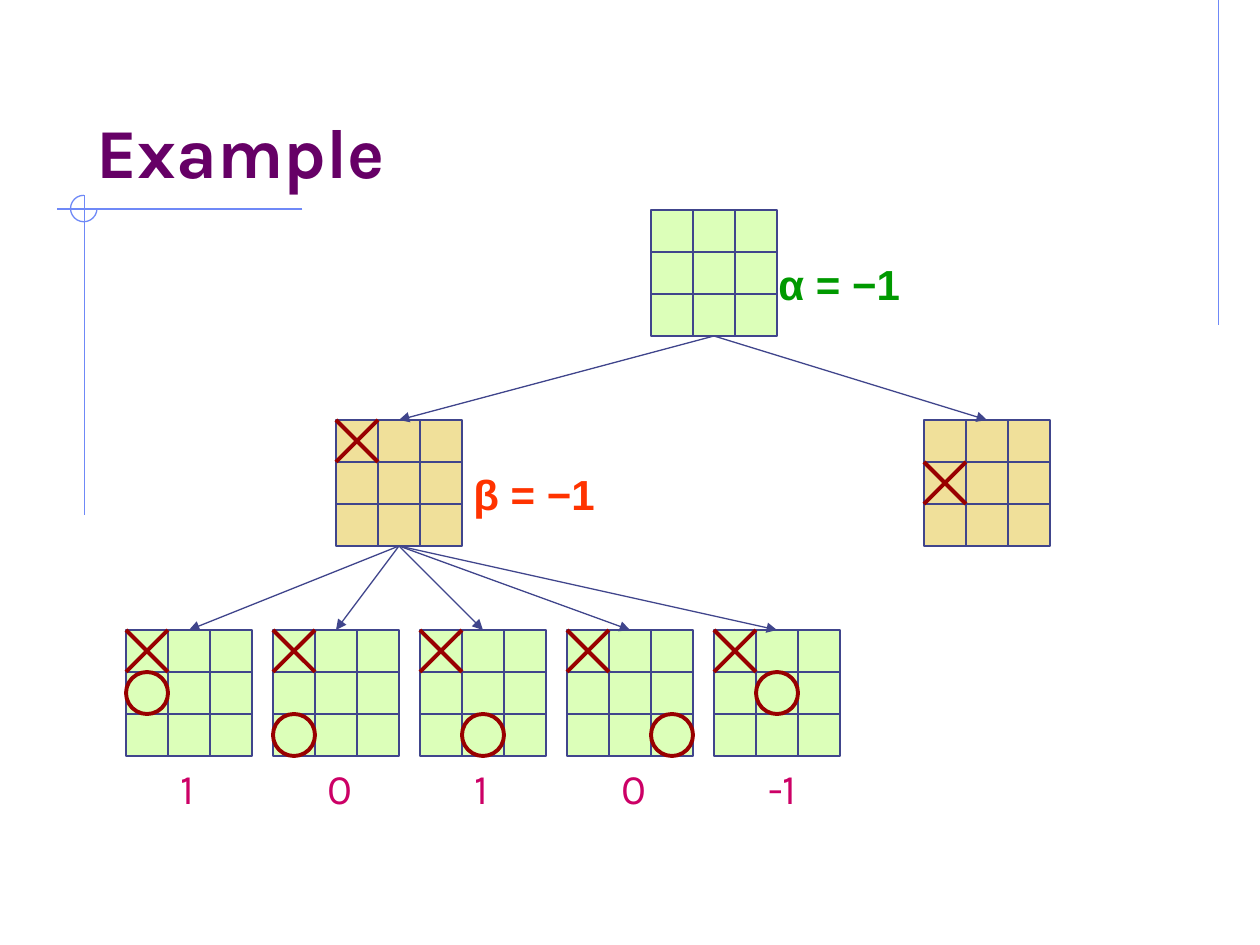
from lxml.etree import SubElement
from pptx import Presentation
from pptx.dml.color import RGBColor
from pptx.enum.shapes import MSO_CONNECTOR, MSO_SHAPE
from pptx.enum.text import MSO_ANCHOR, MSO_AUTO_SIZE
from pptx.oxml.ns import qn
from pptx.util import Inches, Pt

COLORS = {
    "frame": "6F89F7", "title": "660066", "grid": "40458C", "mark": "990000",
    "max": "DCFFB9", "min": "F0E09A", "alpha": "009900", "beta": "FF3300",
    "score": "CC0066",
}
CELL = 1 / 3
BOTTOM, TOP = 2, 0


def color(name):
    return RGBColor.from_string(COLORS[name])


def write(frame, text, size=24, font="Karla", ink="score", bold=False):
    run = frame.paragraphs[0].add_run()
    run.text = text
    run.font.size = Pt(size)
    run.font.name = font
    run.font.bold = bold
    run.font.color.rgb = color(ink)


class GameTree:
    """Draws tic-tac-toe positions, the moves between them and their values."""

    def __init__(self, slide):
        self.shapes = slide.shapes

    def line(self, x1, y1, x2, y2, ink="grid", width=0.75):
        line = self.shapes.add_connector(
            MSO_CONNECTOR.STRAIGHT, Inches(x1), Inches(y1), Inches(x2), Inches(y2))
        line.line.color.rgb = color(ink)
        line.line.width = Pt(width)
        SubElement(line._element.spPr, qn("a:effectLst"))
        return line

    def shape(self, kind, x, y, size, ink="grid", fill=None, width=0.75):
        shape = self.shapes.add_shape(
            kind, Inches(x), Inches(y), Inches(size), Inches(size))
        shape.shadow.inherit = False
        if fill:
            shape.fill.solid()
            shape.fill.fore_color.rgb = color(fill)
        else:
            shape.fill.background()
        shape.line.color.rgb = color(ink)
        shape.line.width = Pt(width)
        return shape

    def title(self, text):
        box = self.shapes.add_textbox(Inches(0.67), Inches(0.33), Inches(8.5), Inches(1.25))
        box.text_frame.word_wrap = True
        box.text_frame.vertical_anchor = MSO_ANCHOR.BOTTOM
        write(box.text_frame, text, size=40, ink="title", bold=True)

    def label(self, text, x, y, width, **style):
        box = self.shapes.add_textbox(Inches(x), Inches(y), Inches(width), Inches(0.5))
        box.text_frame.word_wrap = False
        box.text_frame.auto_size = MSO_AUTO_SIZE.SHAPE_TO_FIT_TEXT
        write(box.text_frame, text, **style)

    def board(self, x, y, fill, cross=None, nought=None):
        """Draw a 3 by 3 board; marks are given as (column, row)."""
        board = self.shape(MSO_SHAPE.RECTANGLE, x, y, 3 * CELL, fill=fill)
        for step in (CELL, 2 * CELL):
            self.line(x + step, y, x + step, y + 1)
            self.line(x, y + step, x + 1, y + step)
        if cross:
            left, top = x + cross[0] * CELL, y + cross[1] * CELL
            right, bottom = left + CELL, top + CELL
            self.line(left, top, right, bottom, ink="mark", width=2.25)
            self.line(left, bottom, right, top, ink="mark", width=2.25)
        if nought:
            self.shape(MSO_SHAPE.OVAL, x + nought[0] * CELL, y + nought[1] * CELL,
                       CELL, ink="mark", width=2.25)
        return board

    def move(self, parent, child):
        arrow = self.line(0, 0, 1, 1)
        arrow.begin_connect(parent, BOTTOM)
        arrow.end_connect(child, TOP)
        SubElement(arrow.line._get_or_add_ln(), qn("a:tailEnd"), type="triangle")

    def frame(self):
        self.line(9.67, 0, 9.67, 2.58, ink="frame")
        self.line(2.4, 1.66, 0.45, 1.66, ink="frame")
        self.line(0.67, 1.55, 0.67, 4.09, ink="frame")
        arc = self.shape(MSO_SHAPE.ARC, 0.56, 1.55, 0.21, ink="frame")
        # Angles are in 60000ths of a degree, adjustments in 100000ths
        arc.adjustments[0] = 0
        arc.adjustments[1] = 270 * 0.6


def main():
    deck = Presentation()
    deck.slide_width, deck.slide_height = Inches(10), Inches(7.5)
    tree = GameTree(deck.slides.add_slide(deck.slide_layouts[6]))

    tree.frame()
    tree.title("Example")

    root = tree.board(5 + CELL / 2, 5 / 3, "max")
    tree.label("α = −1", 6.08, 2, 1.28, font="Arial", ink="alpha", bold=True)

    corner = tree.board(8 / 3, 10 / 3, "min", cross=(0, 0))
    tree.label("β = −1", 3.66, 3.67, 1.26, font="Arial", ink="beta", bold=True)
    edge = tree.board(22 / 3, 10 / 3, "min", cross=(0, 1))
    for child in (corner, edge):
        tree.move(root, child)

    replies = [((0, 1), "1"), ((0, 2), "0"), ((1, 2), "1"), ((2, 2), "0"), ((1, 1), "-1")]
    for index, (nought, score) in enumerate(replies):
        x = 1 + index * 3.5 * CELL
        reply = tree.board(x, 5, "max", cross=(0, 0), nought=nought)
        tree.move(corner, reply)
        tree.label(score, x + CELL, 6, 0.39 if len(score) == 1 else 0.5)

    deck.save("out.pptx")


if __name__ == "__main__":
    main()
